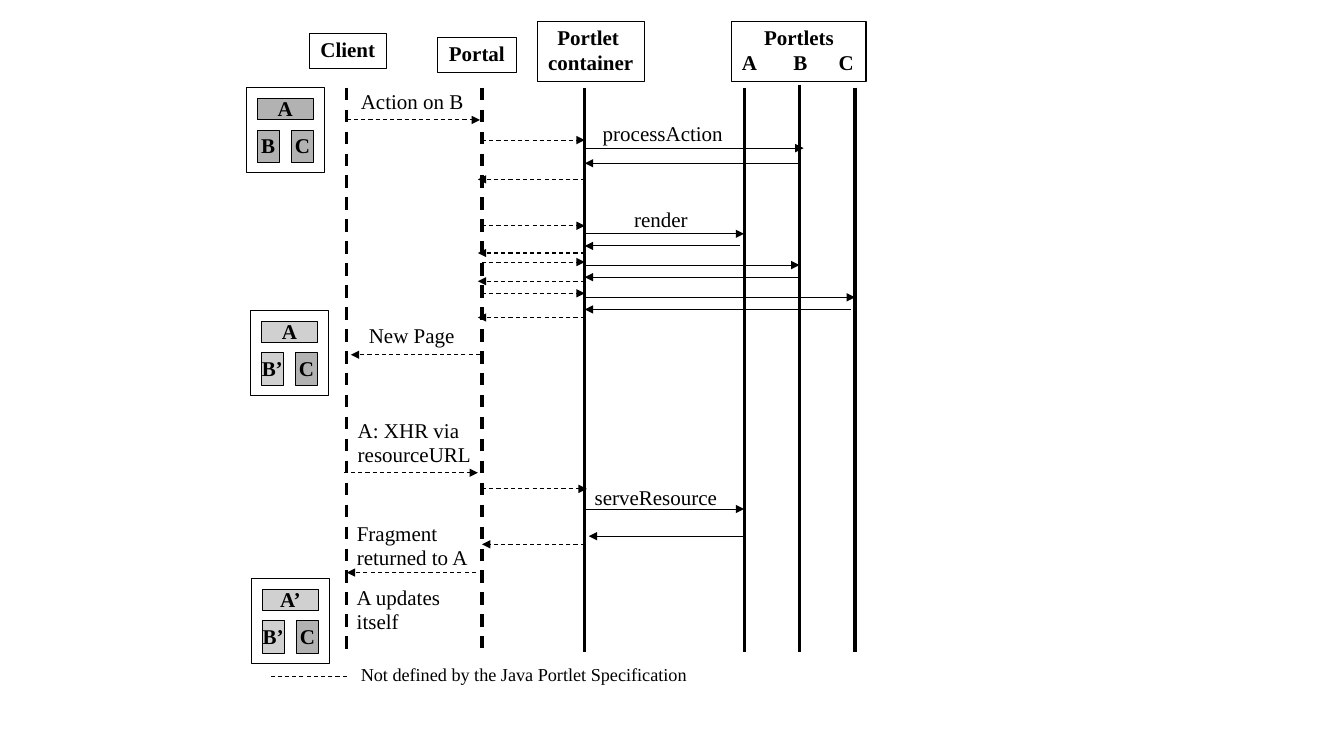
from lxml import etree
from pptx import Presentation
from pptx.dml.color import RGBColor
from pptx.enum import dml, shapes, text
from pptx.oxml import ns
from pptx.util import Inches, Pt

COLORS = {"ink": "000000", "dark": "B2B2B2", "light": "D0D0D0"}
FONT = "Times New Roman"
LINE_SPACING = 0.95

# Lifeline offsets from the left of the diagram: x, extra height above, bottom
LIFELINES = {
    "client": (0, 0, 5.6), "portal": (1.34, 0, 5.56), "container": (2.36, 0, 5.6),
    "A": (3.94, 0, 5.6), "B": (4.49, 0.03, 5.6), "C": (5.04, 0, 5.6),
}
OUTSIDE_SPEC = {"client", "portal"}

# Sender, receiver, offset from the top, shift of the start, shift of the end
MESSAGES = [
    ("client", "portal", 0.32, 0, -0.02),
    ("portal", "container", 0.52, 0, 0),
    ("container", "B", 0.60, 0, 0.04),
    ("B", "container", 0.75, 0, 0),
    ("container", "portal", 0.91, 0, -0.04),
    ("portal", "container", 1.37, 0, 0),
    ("container", "A", 1.45, 0, 0),
    ("A", "container", 1.57, -0.04, 0),
    ("container", "portal", 1.64, 0, -0.04),
    ("portal", "container", 1.73, 0, 0),
    ("container", "B", 1.76, 0, 0),
    ("B", "container", 1.88, 0, 0),
    ("container", "portal", 1.92, 0, -0.04),
    ("portal", "container", 2.04, 0, 0),
    ("container", "C", 2.08, 0, 0),
    ("C", "container", 2.20, -0.04, 0),
    ("container", "portal", 2.28, 0, -0.04),
    ("portal", "client", 2.65, -0.02, 0.04),
    ("client", "portal", 3.82, -0.03, -0.04),
    ("portal", "container", 3.98, 0, 0.02),
    ("container", "A", 4.18, 0, 0),
    ("A", "container", 4.45, 0, 0.04),
    ("container", "portal", 4.53, 0, 0),
    ("portal", "client", 4.81, -0.06, 0),
]

# Wording and offset, width, height within the diagram
LABELS = [
    ("Action on B", 0.04, -0.02, 1.22, 0.34),
    ("processAction", 2.44, 0.29, 1.40, 0.34),
    ("render", 2.75, 1.15, 0.74, 0.34),
    ("New Page", 0.12, 2.30, 1.06, 0.34),
    ("A: XHR via \vresourceURL", 0.01, 3.24, 1.33, 0.58),
    ("serveResource", 2.36, 3.91, 1.42, 0.34),
    ("Fragment\nreturned to A", 0, 4.26, 1.31, 0.58),
    ("A updates\nitself", 0, 4.90, 1.04, 0.58),
]

HEADERS = [
    ("Client", 3.07, 0.33, 0.76, 0.35),
    ("Portal", 4.34, 0.37, 0.78, 0.35),
    ("Portlet \ncontainer", 5.33, 0.21, 1.06, 0.60),
    ("Portlets\nA\tB\tC", 7.26, 0.21, 1.33, 0.60),
]

# Browser pages: left, top, tiles as (label, shade)
BROWSER_PAGES = [
    (2.44, 0.87, [("A", "dark"), ("B", "dark"), ("C", "dark")]),
    (2.48, 3.08, [("A", "light"), ("B’", "light"), ("C", "dark")]),
    (2.49, 5.74, [("A’", "light"), ("B’", "light"), ("C", "dark")]),
]
TILE_BOXES = [(0.11, 0.11, 0.56, 0.21), (0.11, 0.42, 0.22, 0.32), (0.45, 0.42, 0.22, 0.32)]


def color(name):
    return RGBColor.from_string(COLORS[name])


def add_line(page, start, end, width=0.75, dashed=False, arrow=False):
    line = page.shapes.add_connector(
        shapes.MSO_CONNECTOR.STRAIGHT, *(Inches(value) for value in (*start, *end)))
    line.line.color.rgb = color("ink")
    line.line.width = Pt(width)
    if dashed:
        line.line.dash_style = dml.MSO_LINE.DASH
    if arrow:
        etree.SubElement(line.line._get_or_add_ln(), ns.qn("a:tailEnd"), type="triangle")
    etree.SubElement(line._element.spPr, ns.qn("a:effectLst"))


def add_box(page, left, top, width, height, fill=None):
    box = page.shapes.add_shape(
        shapes.MSO_SHAPE.RECTANGLE, *(Inches(value) for value in (left, top, width, height)))
    box.shadow.inherit = False
    box.line.color.rgb = color("ink")
    box.line.width = Pt(0.75)
    if fill:
        box.fill.solid()
        box.fill.fore_color.rgb = color(fill)
    else:
        box.fill.background()
    return box


def write(frame, words, size=15, bold=False, align=text.PP_ALIGN.LEFT, wrap=False):
    frame.text = words
    frame.word_wrap = wrap
    for para in frame.paragraphs:
        para.alignment = align
        para.line_spacing = LINE_SPACING
        for span in para.runs:
            span.font.name = FONT
            span.font.size = Pt(size)
            span.font.bold = bold
            span.font.color.rgb = color("ink")


def add_label(page, words, left, top, width, height, size=15):
    label = page.shapes.add_textbox(*(Inches(value) for value in (left, top, width, height)))
    write(label.text_frame, words, size)


def add_header(page, words, left, top, width, height):
    frame = add_box(page, left, top, width, height).text_frame
    frame.vertical_anchor = text.MSO_ANCHOR.TOP
    write(frame, words, bold=True, align=text.PP_ALIGN.CENTER, wrap="\t" in words)
    for para in frame.paragraphs[1:]:
        para.line_spacing = 1.0
    # Portlet names line up on tab stops
    if "\t" in words:
        names = frame.paragraphs[-1]
        names.alignment = text.PP_ALIGN.LEFT
        stops = etree.SubElement(names._p.get_or_add_pPr(), ns.qn("a:tabLst"))
        for stop in (0.51, 0.96):
            etree.SubElement(stops, ns.qn("a:tab"), pos=str(Inches(stop)), algn="l")


def add_browser_page(page, left, top, tiles):
    add_box(page, left, top, 0.78, 0.84)
    for (name, shade), (dx, dy, width, height) in zip(tiles, TILE_BOXES):
        frame = add_box(page, left + dx, top + dy, width, height, shade).text_frame
        frame.margin_left = frame.margin_right = frame.margin_top = frame.margin_bottom = 0
        frame.vertical_anchor = text.MSO_ANCHOR.MIDDLE
        write(frame, name, bold=True, align=text.PP_ALIGN.CENTER)


def add_sequence(page, left, top):
    # Lifelines
    for name, (x, rise, bottom) in LIFELINES.items():
        add_line(page, (left + x, top - rise), (left + x, top + bottom), 2.25,
                 dashed=name in OUTSIDE_SPEC)
    # Messages
    for sender, receiver, y, start_shift, end_shift in MESSAGES:
        start = left + LIFELINES[sender][0] + start_shift
        end = left + LIFELINES[receiver][0] + end_shift
        add_line(page, (start, top + y), (end, top + y),
                 dashed=bool(OUTSIDE_SPEC & {sender, receiver}), arrow=True)
    # Message labels
    for words, x, y, width, height in LABELS:
        add_label(page, words, left + x, top + y, width, height)


def add_legend(page, left, top):
    add_line(page, (left + 0.75, top + 0.16), (left, top + 0.16), dashed=True)
    add_label(page, "Not defined by the Java Portlet Specification",
              left + 0.79, top, 3.66, 0.31, size=13)


def main():
    deck = Presentation()
    deck.slide_width, deck.slide_height = Inches(13.33), Inches(7.5)
    page = deck.slides.add_slide(deck.slide_layouts[6])
    for header in HEADERS:
        add_header(page, *header)
    add_sequence(page, 3.44, 0.87)
    for browser_page in BROWSER_PAGES:
        add_browser_page(page, *browser_page)
    add_legend(page, 2.69, 6.55)
    deck.save("out.pptx")


if __name__ == "__main__":
    main()
